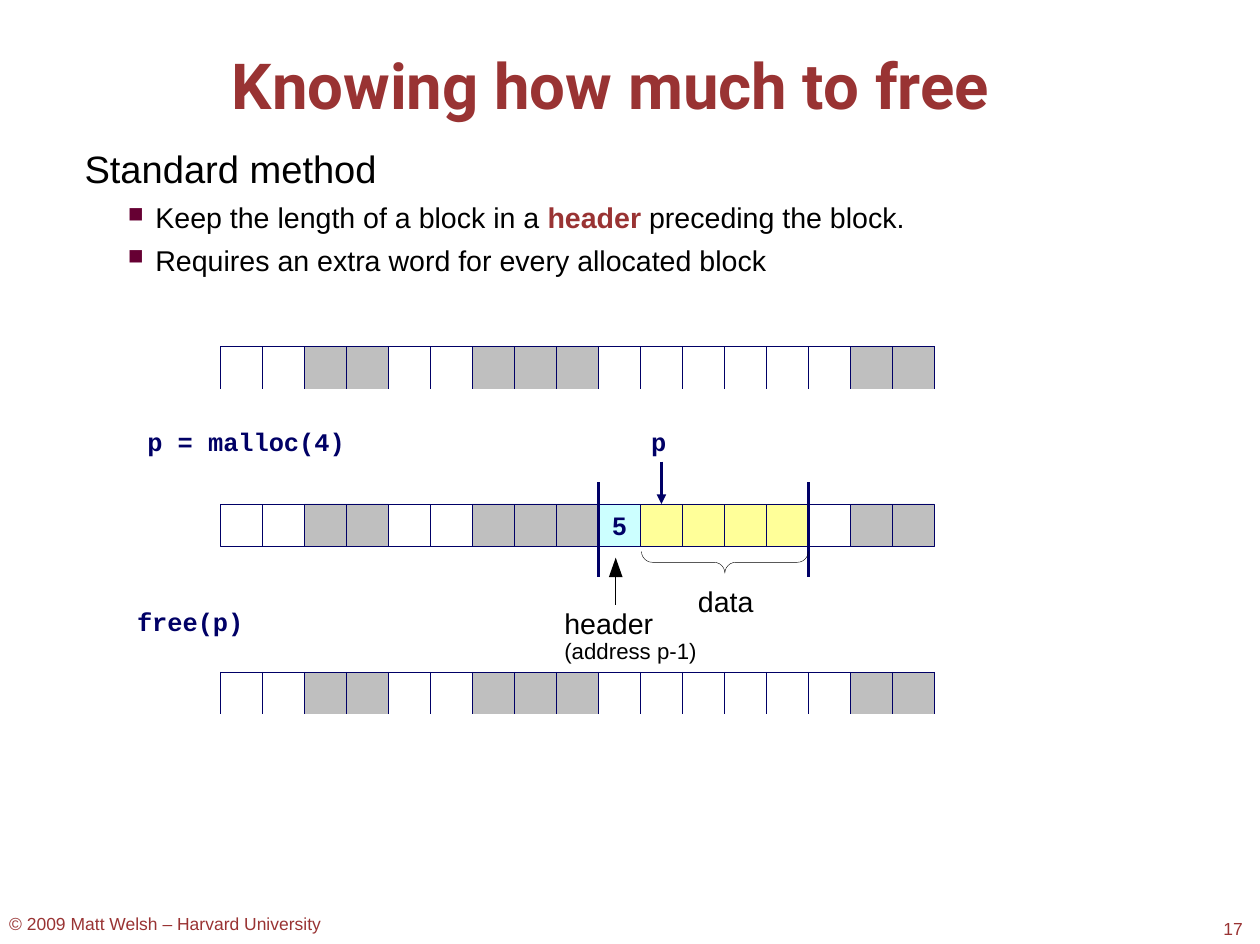
from lxml import etree
from pptx import Presentation
from pptx.dml.color import RGBColor
from pptx.enum.shapes import MSO_CONNECTOR, MSO_SHAPE
from pptx.enum.text import MSO_ANCHOR, PP_ALIGN
from pptx.oxml import parse_xml
from pptx.oxml.ns import nsdecls, qn
from pptx.util import Inches, Pt

RECT = MSO_SHAPE.RECTANGLE
BRACE = MSO_SHAPE.RIGHT_BRACE
PEAK = MSO_SHAPE.ISOSCELES_TRIANGLE
LINE = MSO_CONNECTOR.STRAIGHT
MIDDLE = MSO_ANCHOR.MIDDLE
CENTER = PP_ALIGN.CENTER

INK = {
    "red": "993333", "navy": "000066", "black": "000000", "plum": "660033",
    "gray": "BFBFBF", "yellow": "FFFF99", "cyan": "CCFFFF",
}
RGB = {name: RGBColor.from_string(code) for name, code in INK.items()}

deck = Presentation()
deck.slide_width = Inches(11.03)
deck.slide_height = Inches(8.26)
slide = deck.slides.add_slide(deck.slide_layouts[6])
shapes = slide.shapes


def add_run(para, words, size, face, color, bold=False):
    run = para.add_run()
    run.text = words
    font = run.font
    font.size = Pt(size)
    font.name = face
    font.bold = bold
    font.color.rgb = RGB[color]


def add_line(x1, y1, x2, y2, color, width):
    line = shapes.add_connector(LINE, Inches(x1), Inches(y1), Inches(x2), Inches(y2))
    line.line.color.rgb = RGB[color]
    line.line.width = Pt(width)
    etree.SubElement(line._element.spPr, qn("a:effectLst"))
    return line


labels = [
    (2.03, 0.41, 6.98, 0.56, "Knowing how much to free", 40, "Roboto", "red", True),
    (0.74, 1.27, 7.18, 1.09, "Standard method", 24, "Arial", "black", False),
    (1.2, 5.3, 0.96, 0.25, "free(p)", 16, "Courier New", "navy", True),
    (1.29, 3.73, 1.76, 0.25, "p = malloc(4)", 16, "Courier New", "navy", True),
    (5.7, 3.73, 0.16, 0.25, "p", 16, "Courier New", "navy", True),
    (6.11, 5.11, 0.52, 0.28, "data", 18, "Arial", "black", False),
    (4.94, 5.3, 0.82, 0.28, "header", 18, "Arial", "black", False),
    (4.94, 5.58, 1.22, 0.22, "(address p-1)", 14, "Arial", "black", False),
    (0.08, 7.99, 2.85, 0.18, "© 2009 Matt Welsh – Harvard University", 11, "Arial", "red", False),
    (10.71, 8.03, 0.2, 0.18, "17", 11, "Arial", "red", False),
]
frames = {}
for x, y, w, h, words, size, face, color, bold in labels:
    frame = shapes.add_textbox(Inches(x), Inches(y), Inches(w), Inches(h)).text_frame
    frame.word_wrap = True
    frame.margin_left = frame.margin_right = frame.margin_top = frame.margin_bottom = 0
    add_run(frame.paragraphs[0], words, size, face, color, bold)
    frames[words] = frame
frames["Knowing how much to free"].paragraphs[0].line_spacing = Pt(47.6)

points = [
    (5.7, None, [("Keep the length of a block in a ", "black", False),
                 ("header", "red", True),
                 (" preceding the block.", "black", False)]),
    (5.4, Pt(21.4), [("Requires an extra word for every allocated block", "black", False)]),
]
for gap, pitch, runs in points:
    para = frames["Standard method"].add_paragraph()
    props = para._p.get_or_add_pPr()
    props.set("marL", str(Inches(0.62)))
    props.set("indent", str(Inches(-0.24)))
    color = etree.SubElement(props, qn("a:buClr"))
    etree.SubElement(color, qn("a:srgbClr"), val=INK["plum"])
    etree.SubElement(props, qn("a:buSzPct"), val="75000")
    etree.SubElement(props, qn("a:buChar"), char="■")
    para.space_before = Pt(gap)
    if pitch:
        para.line_spacing = pitch
    for words, color, bold in runs:
        add_run(para, words, 18, "Arial", color, bold)

LEFT, WIDE, TALL, COUNT = 1.93, 6.25, 0.37, 17
STEP = WIDE / COUNT
USED = {2, 3, 6, 7, 8, 15, 16}
HEAD, DATA = 9, range(10, 14)

for top in (3.03, 5.88):
    grid = shapes.add_table(1, COUNT, Inches(LEFT), Inches(top), Inches(WIDE), Inches(TALL)).table
    grid.first_row = grid.horz_banding = False
    grid.rows[0].height = Inches(TALL)
    for col in range(COUNT):
        grid.columns[col].width = Inches(STEP)
        cell = grid.cell(0, col)
        cell.margin_left = cell.margin_right = cell.margin_top = cell.margin_bottom = 0
        if col in USED:
            cell.fill.solid()
            cell.fill.fore_color.rgb = RGB["gray"]
        else:
            cell.fill.background()
        props = cell._tc.get_or_add_tcPr()
        for spot, side in enumerate("LRTB"):
            paint = "<a:noFill/>" if side == "B" else (
                f'<a:solidFill><a:srgbClr val="{INK["navy"]}"/></a:solidFill>')
            edge = parse_xml(f'<a:ln{side} {nsdecls("a")} w="{Pt(0.25)}">{paint}</a:ln{side}>')
            props.insert(spot, edge)

tint = {col: "gray" for col in USED} | {col: "yellow" for col in DATA} | {HEAD: "cyan"}
for col in range(COUNT):
    word = shapes.add_shape(RECT, Inches(LEFT + col * STEP), Inches(4.41), Inches(STEP), Inches(TALL))
    word.shadow.inherit = False
    word.line.color.rgb = RGB["navy"]
    word.line.width = Pt(0.25)
    if col in tint:
        word.fill.solid()
        word.fill.fore_color.rgb = RGB[tint[col]]
    else:
        word.fill.background()
    if col == HEAD:
        frame = word.text_frame
        frame.margin_left = frame.margin_right = frame.margin_top = frame.margin_bottom = 0
        frame.vertical_anchor = MIDDLE
        frame.paragraphs[0].alignment = CENTER
        add_run(frame.paragraphs[0], "5", 16, "Arial", "navy", True)

for col in (HEAD, DATA.stop):
    x = LEFT + col * STEP
    add_line(x, 4.22, x, 5.05, "navy", 2.25)

arrow = add_line(5.79, 4.04, 5.79, 4.41, "navy", 2)
etree.SubElement(arrow.line._get_or_add_ln(), qn("a:tailEnd"), type="triangle")

add_line(5.39, 5.29, 5.39, 5.02, "black", 0.25)
tip = shapes.add_shape(PEAK, Inches(5.33), Inches(4.88), Inches(0.12), Inches(0.17))
tip.shadow.inherit = False
tip.fill.solid()
tip.fill.fore_color.rgb = RGB["black"]
tip.line.fill.background()

brace = shapes.add_shape(BRACE, Inches(6.25), Inches(4.19), Inches(0.19), Inches(1.46))
brace.rotation = 90
brace.adjustments[0] = 0.5
brace.shadow.inherit = False
brace.fill.background()
brace.line.color.rgb = RGB["black"]
brace.line.width = Pt(0.25)

deck.save("out.pptx")
